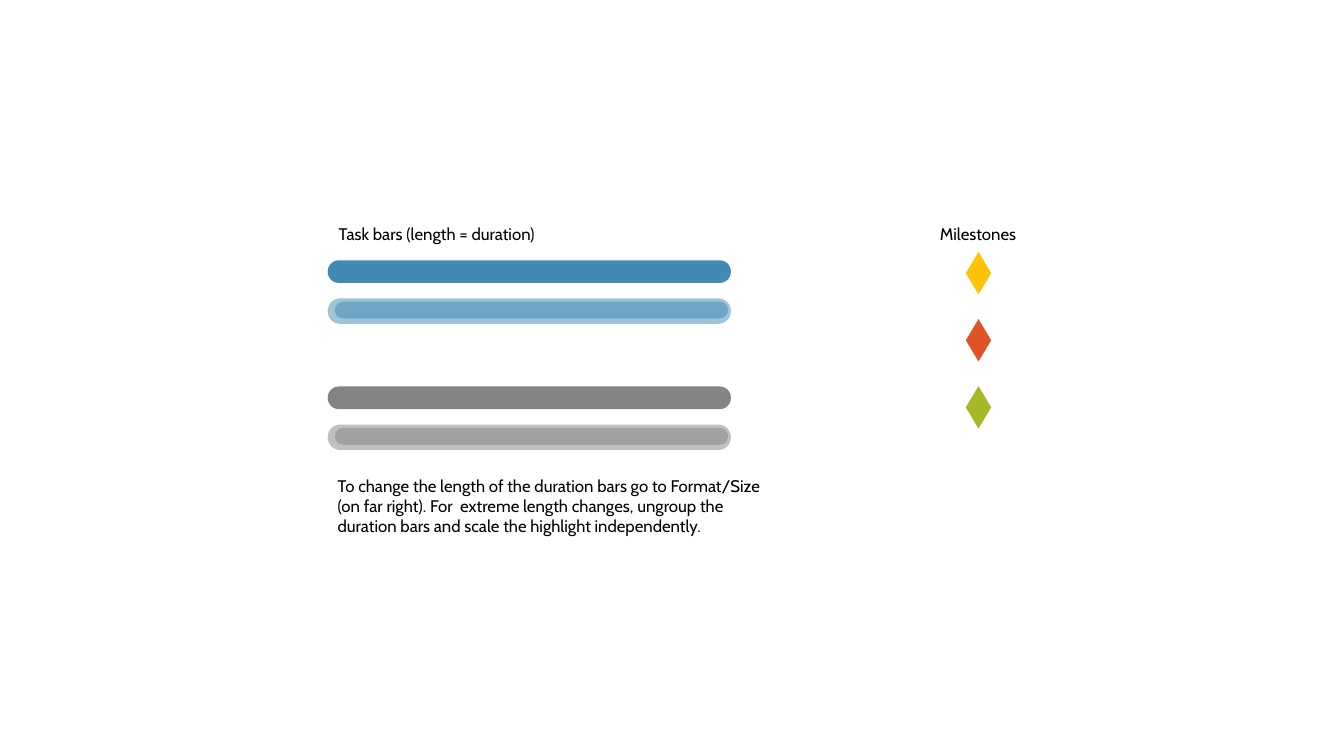
from lxml.etree import SubElement
from pptx import Presentation
from pptx.dml.color import RGBColor
from pptx.enum.shapes import MSO_SHAPE as Shape
from pptx.enum.text import MSO_AUTO_SIZE as AutoSize, PP_ALIGN as Align
from pptx.oxml.ns import qn
from pptx.util import Cm, Pt

BLUE, GREY = "418AB3", "838383"
YELLOW, RED, GREEN = "FEC306", "DF5327", "A6B727"
BAR_LEFT, BAR_WIDTH = 8.26, 10.16
BAR_TOP, BAR_PAIR_STEP, LIGHT_BAR_DROP = 6.56, 3.18, 0.96
MILESTONE_TOP, MILESTONE_STEP = 6.35, 1.69


def paint(fill, color, alpha=None):
    """Fill with a hex colour; alpha is the opacity in percent."""
    fill.solid()
    fill.fore_color.rgb = RGBColor.from_string(color)
    if alpha is not None:
        clr = fill._xPr.find(".//" + qn("a:srgbClr"))
        SubElement(clr, qn("a:alpha"), val=str(alpha * 1000))


class Legend:
    def __init__(self, slide, font="Cabin", size=12, color="000000"):
        self.s, self.font, self.size, self.color = slide, font, size, color

    def text(self, text, x, y, w, h, align=Align.LEFT):
        tf = self.s.shapes.add_textbox(Cm(x), Cm(y), Cm(w), Cm(h)).text_frame
        tf.word_wrap = True
        tf.auto_size = AutoSize.SHAPE_TO_FIT_TEXT
        p = tf.paragraphs[0]
        p.alignment = align
        r = p.add_run()
        r.text = text
        r.font.name, r.font.size = self.font, Pt(self.size)
        paint(r.font.fill, self.color)

    def shape(self, kind, x, y, w, h, color, alpha=None, parent=None):
        shapes = (parent or self.s).shapes
        sp = shapes.add_shape(kind, Cm(x), Cm(y), Cm(w), Cm(h))
        sp.shadow.inherit = False
        sp.line.fill.background()
        paint(sp.fill, color, alpha)
        return sp

    def bar(self, y, h, color, alpha=None, highlight=None):
        """Draw a task bar; highlight is the inset and width of its inner bar."""
        parts = [(BAR_LEFT, y, BAR_WIDTH, h)]
        parent = None
        if highlight:
            inset, width = highlight
            parts.append((BAR_LEFT + inset, y + 0.08, width, 0.43))
            parent = self.s.shapes.add_group_shape()
        for box in parts:
            sp = self.shape(Shape.ROUNDED_RECTANGLE, *box, color, alpha, parent)
            sp.adjustments[0] = 0.487

    def milestone(self, y, color):
        self.shape(Shape.FLOWCHART_DECISION, 24.34, y, 0.64, 1.07, color)


def main():
    prs = Presentation()
    prs.slide_width, prs.slide_height = Cm(33.87), Cm(19.05)
    legend = Legend(prs.slides.add_slide(prs.slide_layouts[6]))

    legend.text("Task bars (length = duration)", 8.05, 5.51, 5.92, 0.76, Align.CENTER)
    legend.text("Milestones", 22.35, 5.51, 4.6, 0.76, Align.CENTER)

    for i, (color, highlight) in enumerate([(BLUE, (0.13, 9.93)), (GREY, None)]):
        y = BAR_TOP + i * BAR_PAIR_STEP
        legend.bar(y, 0.57, color, highlight=highlight)
        legend.bar(y + LIGHT_BAR_DROP, 0.64, color, alpha=50, highlight=(0.18, 9.91))

    for i, color in enumerate([YELLOW, RED, GREEN]):
        legend.milestone(MILESTONE_TOP + i * MILESTONE_STEP, color)

    legend.text("To change the length of the duration bars go to Format/Size "
                "(on far right). For  extreme length changes, ungroup the "
                "duration bars and scale the highlight independently.",
                8.26, 11.86, 11.23, 1.8)
    prs.save("out.pptx")


if __name__ == "__main__":
    main()
